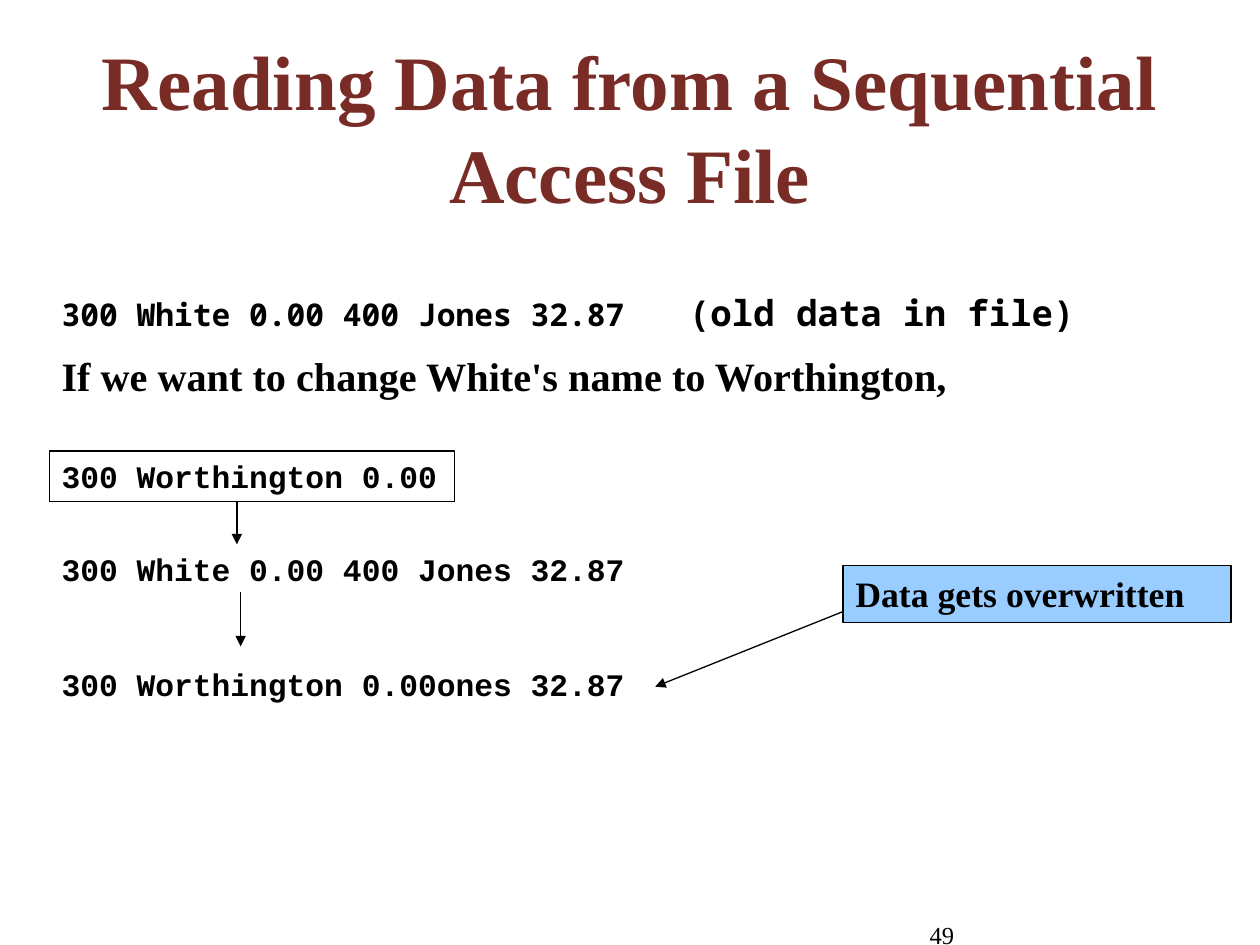
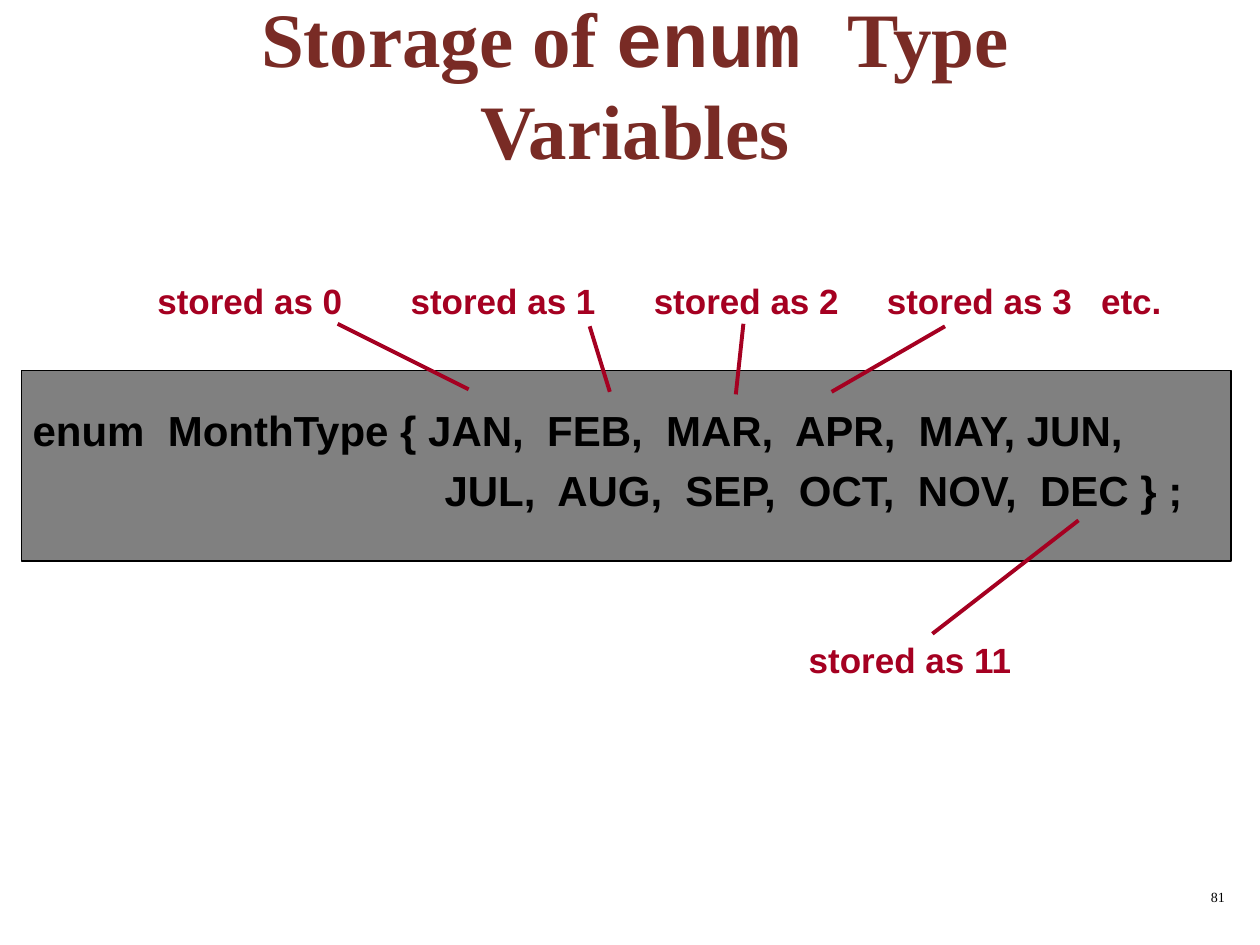
from lxml.etree import SubElement
from pptx import Presentation
from pptx.dml.color import RGBColor
from pptx.enum.shapes import MSO_CONNECTOR, MSO_SHAPE
from pptx.enum.text import MSO_ANCHOR, PP_ALIGN
from pptx.oxml.ns import qn
from pptx.util import Inches, Pt

BLACK = RGBColor(0, 0, 0)
WHITE = RGBColor(255, 255, 255)
GREY = RGBColor(0x80, 0x80, 0x80)
BLUE = RGBColor(0x99, 0xCC, 0xFF)
BROWN = RGBColor(0x79, 0x2B, 0x25)
RED = RGBColor(0xA5, 0x00, 0x21)
SERIF, SANS, CODE, MONO = "Times New Roman", "Arial", "Courier New", "Noto Sans Mono"

deck = Presentation()
deck.slide_width, deck.slide_height = Inches(10), Inches(7.5)
CELL = deck.slide_width / 100  # the grid has 100 columns and 75 rows


def write(slide, box, *paras, size=18, font=SERIF, color=BLACK, bold=True,
          align=PP_ALIGN.LEFT, anchor=MSO_ANCHOR.TOP, wrap=True, gap=0,
          tabs=(), indents=(), fill=None, edge=0.75):
    """Put text at box (left, top, width, height in cells).

    A paragraph is a string or a list of (text, changes) runs.
    """
    spot = [round(n * CELL) for n in box]
    if fill is None:
        shape = slide.shapes.add_textbox(*spot)
    else:
        shape = slide.shapes.add_shape(MSO_SHAPE.RECTANGLE, *spot)
        shape.shadow.inherit = False
        shape.fill.solid()
        shape.fill.fore_color.rgb = fill
        shape.line.color.rgb = BLACK
        shape.line.width = Pt(edge)
    frame = shape.text_frame
    frame.word_wrap = wrap
    frame.vertical_anchor = anchor
    for i, para in enumerate(paras):
        p = frame.add_paragraph() if i else frame.paragraphs[0]
        props = p._p.get_or_add_pPr()
        if i < len(indents):
            props.set("marL", str(round(indents[i] * CELL)))
        if tabs:
            stops = SubElement(props, qn("a:tabLst"))
            for stop in tabs:
                SubElement(stops, qn("a:tab"), pos=str(round(stop * CELL)), algn="l")
        p.alignment = align
        if i:
            p.space_before = Pt(gap)
        for part, change in [(para, {})] if isinstance(para, str) else para:
            run = p.add_run()
            run.text = part
            run.font.size = Pt(change.get("size", size))
            run.font.name = change.get("font", font)
            run.font.bold = bold
            run.font.color.rgb = color


def link(slide, ends, color=BLACK, width=0.75, arrow=False):
    """Draw a line between ends (x1, y1, x2, y2 in cells)."""
    wire = slide.shapes.add_connector(MSO_CONNECTOR.STRAIGHT, *[round(n * CELL) for n in ends])
    wire.line.color.rgb = color
    wire.line.width = Pt(width)
    if arrow:
        SubElement(wire.line._get_or_add_ln(), qn("a:tailEnd"), type="triangle")
    SubElement(wire._element.spPr, qn("a:effectLst"))


TITLE = dict(size=44, color=BROWN, align=PP_ALIGN.CENTER, anchor=MSO_ANCHOR.MIDDLE)
PAGE = dict(bold=False, align=PP_ALIGN.RIGHT)
blank = deck.slide_layouts[6]

# Slide 1: overwriting a record
file = deck.slides.add_slide(blank)
left = 3.9
record = dict(size=17.9, font=CODE, wrap=False)
write(file, (67.5, 72.5, 9.2, 2.5), "49", size=14, **PAGE)
write(file, (3.3, 2.9, 93.4, 14.2), "Reading Data from a Sequential Access File", **TITLE)
write(file, (left, 22.6, 89.3, 10.2),
      [("300 White 0.00 400 Jones 32.87", dict(size=17.9, font=MONO)),
       ("\t(old data in file)", dict(size=20.4, font=MONO))],
      "If we want to change White's name to Worthington,",
      size=23, gap=10, tabs=[49.8])
for row, data in [(43.2, "300 White 0.00 400 Jones 32.87"),
                  (52.3, "300 Worthington 0.00ones 32.87")]:
    write(file, (left, row, 47.3, 4), data, **record)
for ends in [(18.8, 39, 18.8, 43.2), (19.1, 47, 19.1, 51.3), (68, 48.1, 52, 54.5)]:
    link(file, ends, arrow=True)
write(file, (left, 35.8, 32.2, 4), "300 Worthington 0.00", fill=WHITE, **record)
write(file, (66.9, 44.9, 30.8, 4.5), "Data gets overwritten", size=20.4, fill=BLUE)

# Slide 2: values behind the month names
months = deck.slides.add_slide(blank)
note = dict(size=20, font=SANS, color=RED, wrap=False)
write(months, (77.4, 70, 20.8, 5), "81", size=8, **PAGE)
write(months, (1.7, 29.4, 96, 15.1), fill=GREY, edge=1)
write(months, (7.5, 3.7, 85.8, 5.7),
      [("Storage of ", {}), ("enum ", dict(font=CODE)), ("Type Variables", {})], **TITLE)
write(months, (1.6, 31.6, 96.2, 14.6),
      "enum  MonthType { JAN,  FEB,  MAR,  APR,  MAY, JUN,",
      "JUL,  AUG,  SEP,  OCT,  NOV,  DEC } ;",
      size=24, font=SANS, gap=5.5, indents=[0, 32.7])
write(months, (11.5, 21.7, 82.2, 4.3),
      "stored as 0\tstored as 1\tstored as 2\tstored as 3\tetc.",
      tabs=[20.1, 39.4, 57.9, 74.9], **note)
write(months, (63.2, 50.2, 19, 4.3), "stored as 11", **note)
for ends in [(26.8, 25.7, 37.2, 30.9), (46.8, 25.9, 48.4, 31.1), (59, 25.7, 58.4, 31.3),
             (75, 25.9, 66, 31.1), (85.6, 41.3, 74, 50.3)]:
    link(months, ends, color=RED, width=2.25)

deck.save("out.pptx")
